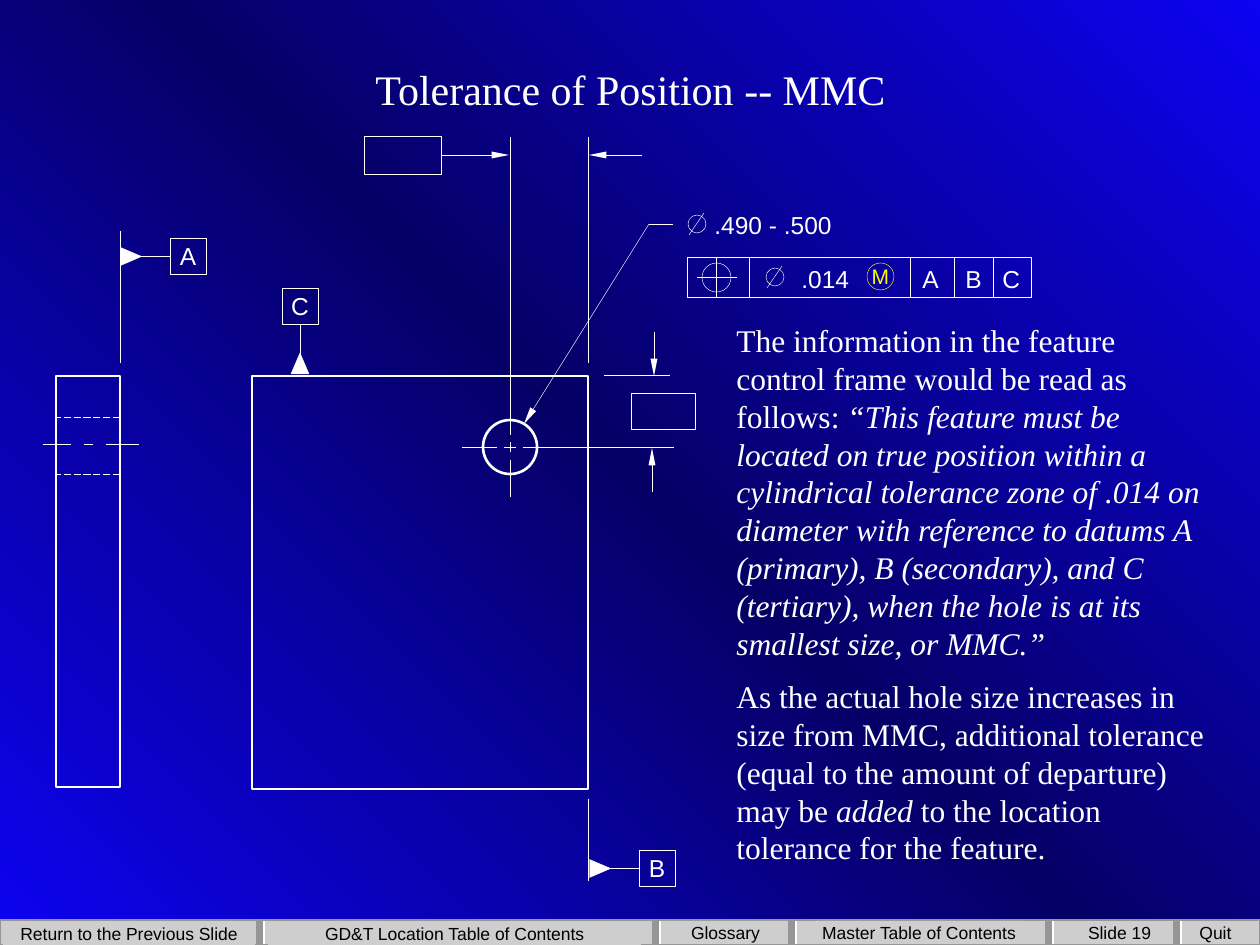
"""Build a slide that explains tolerance of position at MMC with a datum drawing."""
from copy import deepcopy
from dataclasses import dataclass

from lxml.etree import SubElement
from pptx import Presentation
from pptx.dml.color import RGBColor as Rgb
from pptx.enum.dml import MSO_LINE as Dash
from pptx.enum.shapes import MSO_CONNECTOR as Link, MSO_SHAPE as Kind
from pptx.enum.text import MSO_ANCHOR as Anchor, PP_ALIGN as Align
from pptx.oxml.ns import qn
from pptx.util import Pt

PX = 914400 / 126


@dataclass(frozen=True)
class Theme:
    bright: Rgb = Rgb(0x0D, 0x02, 0xF2)
    deep: Rgb = Rgb(0x05, 0x00, 0x66)
    ink: Rgb = Rgb(0xFF, 0xFF, 0xFF)
    modifier: Rgb = Rgb(0xFA, 0xFD, 0x00)
    bar: Rgb = Rgb(0xCE, 0xCE, 0xCE)
    bar_edge: Rgb = Rgb(0x96, 0x96, 0x96)
    bar_text: Rgb = Rgb(0, 0, 0)
    serif: str = "Times New Roman"
    sans: str = "Arial"
    title: int = 24
    body: int = 18
    label: int = 14
    symbol: int = 12
    nav: int = 10
    thin: float = 0.25
    hidden: float = 0.5
    edge: float = 1.25
    outline: float = 1.5
    divider: float = 4


theme = Theme()
deck = Presentation()
deck.slide_width, deck.slide_height = round(1260 * PX), round(945 * PX)
slide = deck.slides.add_slide(deck.slide_layouts[6])

backdrop = slide.background.fill
backdrop.gradient()
stop_list = slide.element.find(".//" + qn("a:gsLst"))
stop_list.append(deepcopy(stop_list[0]))
for stop, position, color in zip(backdrop.gradient_stops, (0, 0.5, 1),
                                 (theme.bright, theme.deep, theme.bright)):
    stop.position, stop.color.rgb = position, color
backdrop.gradient_angle = 225


def add_line(x1, y1, x2, y2, width=theme.thin, color=theme.ink, arrow=False):
    line = slide.shapes.add_connector(Link.STRAIGHT, *(round(v * PX) for v in (x1, y1, x2, y2)))
    line.line.width, line.line.color.rgb = Pt(width), color
    if arrow:
        SubElement(line.line._get_or_add_ln(), qn("a:headEnd"), type="triangle", w="sm", len="lg")
    SubElement(line._element.spPr, qn("a:effectLst"))
    return line


def add_box(kind, x, y, w, h, fill=None, edge=theme.ink, width=theme.thin, text="",
            size=theme.label, color=theme.ink, font=theme.sans, align=Align.CENTER,
            anchor=Anchor.MIDDLE, wrap=False, tabs=()):
    frame = [round(v * PX) for v in (x, y, w, h)]
    if kind is None:
        box = slide.shapes.add_textbox(*frame)
    else:
        box = slide.shapes.add_shape(kind, *frame)
        box.shadow.inherit = False
        if fill is None:
            box.fill.background()
        else:
            box.fill.solid()
            box.fill.fore_color.rgb = fill
        if edge is None:
            box.line.fill.background()
        else:
            box.line.color.rgb, box.line.width = edge, Pt(width)
    if text:
        box.text_frame.text = text
        box.text_frame.word_wrap, box.text_frame.vertical_anchor = wrap, anchor
        for paragraph in box.text_frame.paragraphs:
            paragraph.alignment = align
            if tabs:
                tab_list = SubElement(paragraph._p.get_or_add_pPr(), qn("a:tabLst"))
                for tab in tabs:
                    SubElement(tab_list, qn("a:tab"), pos=str(round(tab * PX)), algn="l")
            for run in paragraph.runs:
                run.font.name, run.font.size, run.font.color.rgb = font, Pt(size), color
    return box


add_box(Kind.RECTANGLE, 0, 920, 1260, 25, theme.bar, theme.bar_edge, theme.edge)
for x in (262, 658, 794, 1051, 1179):
    add_line(x, 944, x, 921, theme.divider)
    add_line(x - 2, 944, x - 2, 921, theme.divider, theme.bar_edge)
for kind, x, y, w, text in (
    (Kind.RECTANGLE, 3, 922, 252, "Return to the Previous Slide"),
    (Kind.RECTANGLE, 268, 922, 373, "GD&T Location Table of Contents"),
    (Kind.RECTANGLE, 663, 921, 125, "Glossary"),
    (Kind.RECTANGLE, 815, 921, 208, "Master Table of Contents"),
    (None, 1072, 921, 95, "Slide 19"),
    (None, 1184, 921, 63, "Quit"),
):
    add_box(kind, x, y, w, 23, theme.bar, None, text=text, size=theme.nav, color=theme.bar_text)

add_box(Kind.RECTANGLE, 252, 376, 336, 413, width=theme.outline)
add_box(Kind.RECTANGLE, 56, 376, 64, 411, width=theme.outline)
add_box(Kind.OVAL, 483, 420, 54, 54, width=theme.outline)
for y in (417, 474):
    add_line(120, y, 56, y, theme.hidden).line.dash_style = Dash.LONG_DASH

for start, end in ((497, 460), (452, 442), (435, 398)):
    add_line(510, start, 510, end)
for start, end in ((462, 497), (504, 516), (523, 557), (549, 674)):
    add_line(start, 447, end, 447)
for start, end in ((43, 71), (84, 93), (106, 139)):
    add_line(start, 444, end, 444)
for x, start, end in ((510, 403, 137), (588, 363, 137), (588, 799, 881), (120, 363, 231)):
    add_line(x, start, x, end)
add_line(604, 375, 670, 375)

add_line(524, 424, 649, 224, arrow=True)
add_line(649, 224, 673, 224)
add_line(654, 376, 654, 332, arrow=True)
add_line(652, 448, 652, 492, arrow=True)
add_line(589, 155, 642, 155, arrow=True)
add_box(Kind.RECTANGLE, 631, 393, 64, 36)
hole_offset = add_box(Kind.RECTANGLE, 364, 136, 77, 38)
add_line(509, 155, 441, 155, arrow=True).end_connect(hole_offset, 3)

for letter, x, y, marker_x, marker_y, turn, stem, side in (
    ("A", 170, 238, 122, 246, 90, (141, 256), 1),
    ("B", 639, 850, 591, 858, 90, (610, 868), 1),
    ("C", 282, 288, 291, 353, 0, (300, 357), 2),
):
    add_box(Kind.ISOSCELES_TRIANGLE, marker_x, marker_y, 18, 21, theme.ink).rotation = turn
    datum = add_box(Kind.RECTANGLE, x, y, 36, 36, text=letter)
    add_line(*stem, *stem).end_connect(datum, side)

for x, y in ((688, 215), (766, 268)):
    add_box(Kind.OVAL, x, y, 18, 18)
    add_line(x + 16, y - 2, x + 1, y + 20)
add_box(None, 702, 204, 160, 42, text=".490 - .500", align=Align.LEFT, anchor=Anchor.TOP,
        wrap=True)

add_box(Kind.RECTANGLE, 687, 257, 344, 40)
for x in (749, 910, 954, 993):
    add_line(x, 257, x, 297)
add_box(Kind.OVAL, 702, 263, 29, 29)
add_line(716, 257, 716, 297)
add_line(697, 277, 737, 277)
add_box(None, 789, 258, 250, 42, text=".014\tA\tB\tC", align=Align.LEFT, anchor=Anchor.TOP,
        wrap=True, tabs=(121, 164, 201))
add_box(Kind.OVAL, 867, 263, 27, 27, edge=theme.modifier, text="M",
        size=theme.symbol, color=theme.modifier)

add_box(None, 95, 10, 1071, 158, text="Tolerance of Position -- MMC",
        size=theme.title, font=theme.serif, wrap=True)

reading = (
    (("The information in the feature control frame would be read as follows: ", False),
     ("“This feature must be located on true position within a cylindrical tolerance zone of "
      ".014 on diameter with reference to datums A (primary), B (secondary), and C (tertiary), "
      "when the hole is at its smallest size, or MMC.”", True)),
    (("As the actual hole size increases in size from MMC, additional tolerance (equal to the "
      "amount of departure) may be ", False),
     ("added", True),
     (" to the location tolerance for the feature.", False)),
)
explanation = add_box(None, 724, 315, 494, 567).text_frame
explanation.word_wrap = True
for index, phrases in enumerate(reading):
    paragraph = explanation.add_paragraph() if index else explanation.paragraphs[0]
    paragraph.space_after = Pt(9)
    for phrase, italic in phrases:
        run = paragraph.add_run()
        run.text = phrase
        run.font.name, run.font.size = theme.serif, Pt(theme.body)
        run.font.color.rgb, run.font.italic = theme.ink, italic

deck.save("out.pptx")
